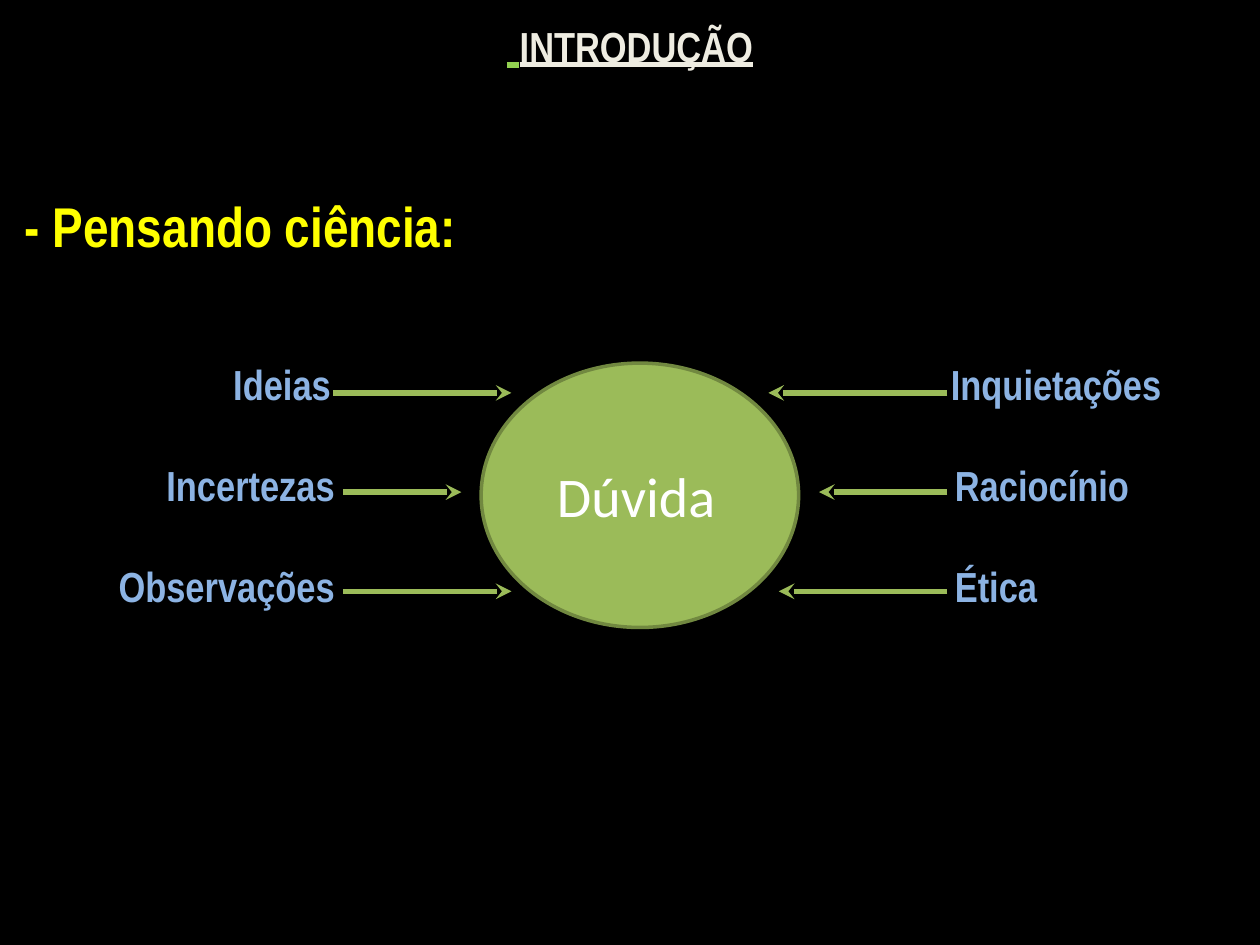
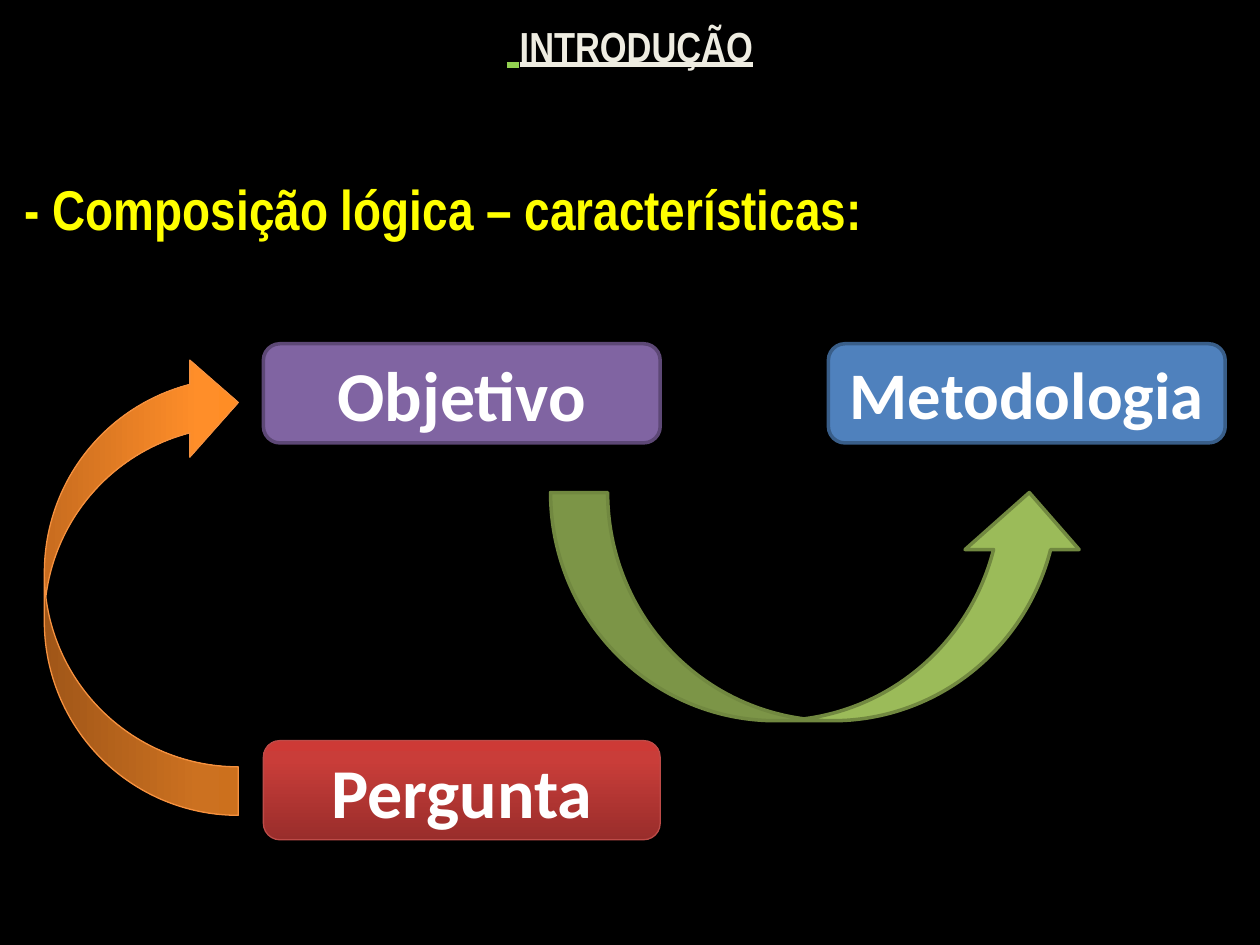
from copy import deepcopy

from pptx import Presentation
from pptx.dml.color import RGBColor
from pptx.enum.shapes import MSO_CONNECTOR as Connector, MSO_SHAPE as Preset
from pptx.enum.text import MSO_ANCHOR as Anchor, PP_ALIGN as Align
from pptx.oxml.ns import qn
from pptx.oxml.xmlchemy import OxmlElement
from pptx.util import Cm, Pt

BLACK, WHITE, CREAM = "000000", "FFFFFF", "EEECE1"
YELLOW, SKY, LIME = "FFFF00", "8CB3E3", "92D050"
GREEN, DARK_GREEN = "9BBB59", "718840"
PURPLE, DARK_PURPLE = "8064A2", "5D4876"
BLUE, DARK_BLUE = "4F81BD", "395E89"
RED, ORANGE = "BD4B48", "F5913F"
RED_STOPS = [(0, "992D2B"), (0.8, "C93D39"), (1, "CD3A36")]
ORANGE_STOPS = [(0, "C86C1F"), (0.8, "FF8E29"), (1, "FF8D25")]
TEXT_FONT, SHAPE_FONT = "Arial Narrow", "Calibri"
SLIDE_WIDTH, SLIDE_HEIGHT = 25.4, 19.05
ROW_STEP = 2


def color(hex_code):
    return RGBColor.from_string(hex_code)


def format_run(run, size, hex_code, font=TEXT_FONT, bold=True, underline=None):
    run.font.size = Pt(size)
    run.font.name = font
    run.font.bold = bold
    run.font.underline = underline
    run.font.color.rgb = color(hex_code)


def add_text(slide, text, left, top, width, size, hex_code, align=Align.LEFT):
    box = slide.shapes.add_textbox(Cm(left), Cm(top), Cm(width), Cm(1.5))
    box.text_frame.word_wrap = True
    box.text_frame.text = text
    paragraph = box.text_frame.paragraphs[0]
    paragraph.alignment = align
    format_run(paragraph.runs[0], size, hex_code)
    return paragraph


def add_topic_slide(presentation, heading, heading_top):
    slide = presentation.slides.add_slide(presentation.slide_layouts[6])
    slide.background.fill.solid()
    slide.background.fill.fore_color.rgb = color(BLACK)
    title = add_text(slide, " ", 0, 0, SLIDE_WIDTH, 32, LIME, Align.CENTER)
    title.runs[0].font.underline = True
    title_run = title.add_run()
    title_run.text = "INTRODUÇÃO"
    format_run(title_run, 24, CREAM, underline=True)
    add_text(slide, heading, 0.25, heading_top, 24.5, 32, YELLOW)
    return slide


def fill_gradient(shape, stops):
    shape.fill.gradient()
    shape.fill.gradient_angle = 90
    stop_list = shape._element.spPr.find(qn("a:gradFill")).find(qn("a:gsLst"))
    stop_list.insert(1, deepcopy(stop_list[0]))
    for stop, (position, hex_code) in zip(shape.fill.gradient_stops, stops):
        stop.position = position
        stop.color.rgb = color(hex_code)


def add_preset(slide, preset, left, top, width, height, fill, line, line_width=2):
    shape = slide.shapes.add_shape(preset, Cm(left), Cm(top), Cm(width), Cm(height))
    shape.shadow.inherit = False
    if isinstance(fill, list):
        fill_gradient(shape, fill)
    else:
        shape.fill.solid()
        shape.fill.fore_color.rgb = color(fill)
    shape.line.color.rgb = color(line)
    shape.line.width = Pt(line_width)
    return shape


def write_inside(shape, text, size, bold=True):
    frame = shape.text_frame
    frame.text = text
    frame.word_wrap = True
    frame.vertical_anchor = Anchor.MIDDLE
    frame.paragraphs[0].alignment = Align.CENTER
    format_run(frame.paragraphs[0].runs[0], size, WHITE, SHAPE_FONT, bold)


def add_step(slide, text, left, top, fill, line, line_width=2, size=40):
    box = add_preset(slide, Preset.ROUNDED_RECTANGLE, left, top, 8, 2, fill, line, line_width)
    write_inside(box, text, size)


def add_arrow(slide, start, end, y):
    arrow = slide.shapes.add_connector(Connector.STRAIGHT, Cm(start), Cm(y), Cm(end), Cm(y))
    arrow.line.color.rgb = color(GREEN)
    arrow.line.width = Pt(3)
    head = OxmlElement("a:tailEnd")
    head.set("type", "stealth")
    arrow.line._get_or_add_ln().append(head)
    arrow._element.spPr.append(OxmlElement("a:effectLst"))


def build_doubt_slide(presentation):
    slide = add_topic_slide(presentation, "- Pensando ciência:", 3.73)
    left_causes = [
        ("Ideias", 6.67, 6.71, 10.31),
        ("Incertezas", 6.75, 6.91, 9.3),
        ("Observações", 6.75, 6.91, 10.31),
    ]
    right_causes = [
        ("Inquietações", 19.17, 15.49),
        ("Raciocínio", 19.25, 16.51),
        ("Ética", 19.25, 15.7),
    ]
    label_width, inset = 6, 0.25
    for row, (left_cause, right_cause) in enumerate(zip(left_causes, right_causes)):
        label_top = 7.11 + row * 2.03
        arrow_y = 7.92 + row * ROW_STEP
        text, text_end, start, end = left_cause
        add_text(slide, text, text_end + inset - label_width, label_top,
                 label_width, 24, SKY, Align.RIGHT)
        add_arrow(slide, start, end, arrow_y)
        text, text_start, end = right_cause
        add_text(slide, text, text_start - inset, label_top, label_width, 24, SKY)
        add_arrow(slide, 19.1, end, arrow_y)
    doubt = add_preset(slide, Preset.OVAL, 9.7, 7.32, 6.4, 5.33, GREEN, DARK_GREEN)
    write_inside(doubt, "Dúvida", 32, bold=False)
    doubt.text_frame.margin_right = Cm(0.4)


def build_logic_slide(presentation):
    slide = add_topic_slide(presentation, "- Composição lógica – características:", 3.39)
    to_objective = add_preset(slide, Preset.CURVED_UP_ARROW, -1.8, 9.83, 9.3, 3.91,
                              ORANGE_STOPS, ORANGE, 0.75)
    to_objective.rotation = 90
    to_objective._element.spPr.find(qn("a:xfrm")).set("flipH", "1")
    add_step(slide, "Pergunta", 5.31, 14.93, RED_STOPS, RED, 0.75)
    add_step(slide, "Objetivo", 5.31, 6.93, PURPLE, DARK_PURPLE)
    add_step(slide, "Metodologia", 16.7, 6.93, BLUE, DARK_BLUE, size=38)
    add_preset(slide, Preset.CURVED_UP_ARROW, 11.1, 9.93, 10.8, 4.6, GREEN, DARK_GREEN)


def main():
    presentation = Presentation()
    presentation.slide_width = Cm(SLIDE_WIDTH)
    presentation.slide_height = Cm(SLIDE_HEIGHT)
    build_doubt_slide(presentation)
    build_logic_slide(presentation)
    presentation.save("out.pptx")


if __name__ == "__main__":
    main()
